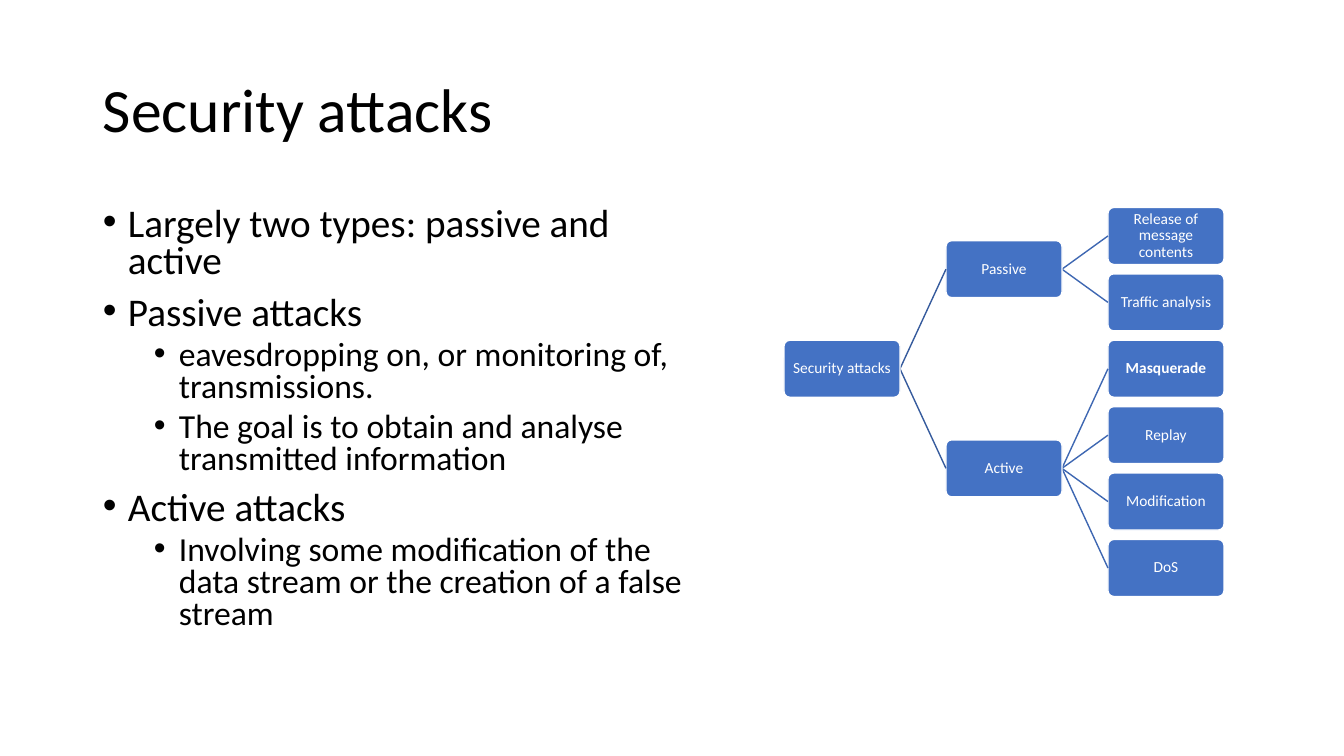
from lxml.etree import SubElement
from pptx import Presentation
from pptx.dml.color import RGBColor
from pptx.enum.shapes import MSO_CONNECTOR, MSO_SHAPE
from pptx.enum.text import MSO_ANCHOR, PP_ALIGN
from pptx.oxml.ns import qn
from pptx.util import Emu, Pt

EMU_PER_PX = 12192000 / 1344
BLACK = RGBColor(0x00, 0x00, 0x00)
WHITE = RGBColor(0xFF, 0xFF, 0xFF)
BLUE = RGBColor(0x44, 0x72, 0xC4)
BRANCH_COLORS = [RGBColor(0x36, 0x5B, 0x9D), RGBColor(0x3E, 0x67, 0xB2)]

POINTS = [
    (0, "Largely two types: passive and active"),
    (0, "Passive attacks"),
    (1, "eavesdropping on, or monitoring of, transmissions."),
    (1, "The goal is to obtain and analyse transmitted information"),
    (0, "Active attacks"),
    (1, "Involving some modification of the data stream or the creation of a false stream"),
]
ATTACKS = ("Security attacks", [
    ("Passive", [("Release of message contents", []), ("Traffic analysis", [])]),
    ("Active", [("Masquerade", []), ("Replay", []), ("Modification", []), ("DoS", [])]),
])
EMPHASISED = "Masquerade"

NODE_WIDTH, NODE_HEIGHT = 116, 57
TREE_LEFT, LEVEL_STEP = 784, 162
FIRST_LEAF_MIDDLE, LAST_LEAF_MIDDLE, LEAF_GAPS = 236, 568, 5


def px(length):
    return Emu(round(length * EMU_PER_PX))


def set_all(target, values):
    for name, value in values.items():
        setattr(target, name, value)


class SlideBuilder:
    TITLE = {"size": Pt(44)}
    NODE = {"size": Pt(11)}
    POINT_FONTS = [{"size": Pt(28)}, {"size": Pt(24)}]
    POINT_SPACING = [{"space_before": Pt(10)}, {"space_before": Pt(5)}]
    POINT_INDENTS = [25, 76]
    HANGING = 25

    def __init__(self, slide):
        self.slide = slide
        self.leaves_drawn = 0

    def fill_paragraph(self, paragraph, text, color, font, spacing):
        run = paragraph.add_run()
        run.text = text
        run.font.color.rgb = color
        set_all(run.font, {"name": "Calibri", **font})
        set_all(paragraph, spacing)

    def text_box(self, left, top, width, height, **frame_format):
        frame = self.slide.shapes.add_textbox(*map(px, (left, top, width, height))).text_frame
        set_all(frame, {"word_wrap": True, **frame_format})
        return frame

    def title(self, text):
        frame = self.text_box(93, 40, 1159, 146, vertical_anchor=MSO_ANCHOR.MIDDLE)
        self.fill_paragraph(frame.paragraphs[0], text, BLACK, self.TITLE, {"line_spacing": 0.9})

    def bullets(self, points):
        frame = self.text_box(93, 202, 605, 455)
        for index, (level, text) in enumerate(points):
            paragraph = frame.add_paragraph() if index else frame.paragraphs[0]
            spacing = {"level": level, "line_spacing": 0.8, **self.POINT_SPACING[level]}
            self.fill_paragraph(paragraph, text, BLACK, self.POINT_FONTS[level], spacing)
            properties = paragraph._p.get_or_add_pPr()
            properties.set("marL", str(px(self.POINT_INDENTS[level])))
            properties.set("indent", str(-px(self.HANGING)))
            SubElement(properties, qn("a:buFont")).set("typeface", "Arial")
            SubElement(properties, qn("a:buChar")).set("char", "•")

    def node(self, text, left, middle):
        node = self.slide.shapes.add_shape(
            MSO_SHAPE.ROUNDED_RECTANGLE,
            *map(px, (left, middle - NODE_HEIGHT / 2, NODE_WIDTH, NODE_HEIGHT)))
        node.adjustments[0] = 0.1
        node.shadow.inherit = False
        node.fill.solid()
        node.fill.fore_color.rgb = BLUE
        node.line.color.rgb = WHITE
        node.line.width = Pt(1)
        frame = node.text_frame
        margins = {f"margin_{side}": px(3) for side in ("left", "top", "right", "bottom")}
        set_all(frame, {"word_wrap": True, "vertical_anchor": MSO_ANCHOR.MIDDLE, **margins})
        font = {**self.NODE, "bold": text == EMPHASISED}
        self.fill_paragraph(frame.paragraphs[0], text, WHITE, font,
                            {"alignment": PP_ALIGN.CENTER, "line_spacing": 0.9})

    def branch(self, x1, y1, x2, y2, color):
        branch = self.slide.shapes.add_connector(
            MSO_CONNECTOR.STRAIGHT, *map(px, (x1, y1, x2, y2)))
        branch.line.color.rgb = color
        branch.line.width = Pt(1)
        SubElement(branch._element.spPr, qn("a:effectLst"))

    def tree(self, item, depth=0):
        """Draw a subtree, each parent centred on its children; return its middle y."""
        text, children = item
        left = TREE_LEFT + depth * LEVEL_STEP
        if children:
            middles = [self.tree(child, depth + 1) for child in children]
            middle = (middles[0] + middles[-1]) / 2
            for child_middle in middles:
                self.branch(left + NODE_WIDTH, middle, left + LEVEL_STEP, child_middle,
                            BRANCH_COLORS[depth])
        else:
            span = LAST_LEAF_MIDDLE - FIRST_LEAF_MIDDLE
            middle = FIRST_LEAF_MIDDLE + self.leaves_drawn * span / LEAF_GAPS
            self.leaves_drawn += 1
        self.node(text, left, middle)
        return middle


def main():
    deck = Presentation()
    deck.slide_width, deck.slide_height = px(1344), px(756)
    builder = SlideBuilder(deck.slides.add_slide(deck.slide_layouts[6]))
    builder.title("Security attacks")
    builder.bullets(POINTS)
    builder.tree(ATTACKS)
    deck.save("out.pptx")


if __name__ == "__main__":
    main()
